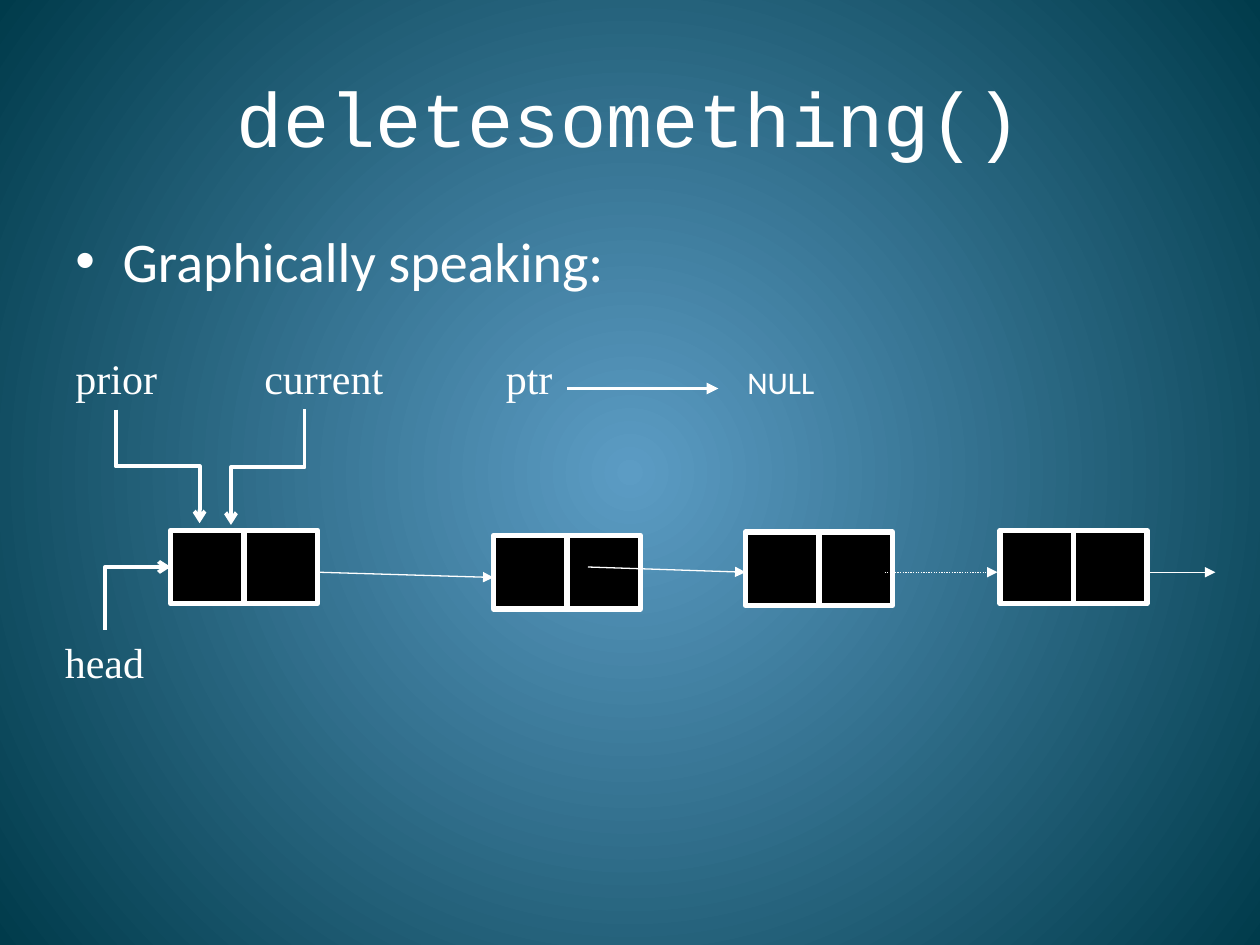
from lxml import etree
from pptx import Presentation
from pptx.dml.color import RGBColor
from pptx.enum.dml import MSO_LINE
from pptx.enum.shapes import MSO_CONNECTOR, MSO_SHAPE
from pptx.enum.text import MSO_ANCHOR, MSO_AUTO_SIZE, PP_ALIGN
from pptx.oxml.ns import qn
from pptx.util import Pt

RECTANGLE = MSO_SHAPE.RECTANGLE
STRAIGHT = MSO_CONNECTOR.STRAIGHT
DOTTED = MSO_LINE.ROUND_DOT
CENTER = PP_ALIGN.CENTER
TOP, MIDDLE = MSO_ANCHOR.TOP, MSO_ANCHOR.MIDDLE
FIT, FIXED = MSO_AUTO_SIZE.SHAPE_TO_FIT_TEXT, MSO_AUTO_SIZE.NONE
WHITE, BLACK = "FFFFFF", "000000"
SERIF = "Times New Roman"
CELL = 42
NODES = [(97.5, 303), (282, 306), (426, 304), (571.5, 303)]
LABELS = [
    ("ptr", (282, 198, 42, 36), True),
    ("head", (30, 360, 60.5, 36), False),
    ("prior", (36, 198, 90, 36), True),
    ("current", (144, 198, 83, 36), False),
]
LINKS = [
    ((181.5, 327), (282, 330), 0.75, None),
    ((336, 324), (426, 327), 0.75, None),
    ((505.5, 327), (570, 327), 0.75, DOTTED),
    ((655.5, 327), (694.5, 327), 0.75, None),
    ((324, 222), (410.5, 222), 2.25, None),
]
ELBOWS = [
    ((66, 234), (114, 299), 270, "h", "bentConnector3"),
    ((174, 234), (132, 300), 90, "", "bentConnector3"),
    ((60, 360), (97.5, 324), 90, "hv", "bentConnector2"),
]


def color(value):
    """Turn a hex string into a colour."""
    return RGBColor.from_string(value)


def set_attributes(target, values):
    """Set every attribute named in a dict."""
    for name, value in values.items():
        setattr(target, name, value)


def paint_background(slide, inner, outer):
    """Fill the slide with a gradient that spreads from its centre."""
    fill = slide.background.fill
    fill.gradient()
    for stop, value, position in zip(fill.gradient_stops, (inner, outer), (0, 1)):
        stop.color.rgb = color(value)
        stop.position = position
    gradient = slide.element.find(".//" + qn("a:gradFill"))
    for linear in gradient.findall(qn("a:lin")):
        gradient.remove(linear)
    radial = etree.SubElement(gradient, qn("a:path"), {"path": "circle"})
    center = dict.fromkeys("ltrb", "50000")
    etree.SubElement(radial, qn("a:fillToRect"), center)


def add_text(slide, text, box, font, size, wrap=True, anchor=TOP, fit=FIT):
    """Add a white text box and return its paragraph."""
    frame = slide.shapes.add_textbox(*map(Pt, box)).text_frame
    set_attributes(frame, {"word_wrap": wrap, "auto_size": fit,
                           "vertical_anchor": anchor})
    paragraph = frame.paragraphs[0]
    run = paragraph.add_run()
    run.text = text
    set_attributes(run.font, {"name": font, "size": Pt(size)})
    run.font.color.rgb = color(WHITE)
    return paragraph


def add_bullet(paragraph, indent):
    """Give a paragraph a hanging round bullet."""
    properties = paragraph._p.get_or_add_pPr()
    properties.set("marL", str(Pt(indent)))
    properties.set("indent", str(-Pt(indent)))
    etree.SubElement(properties, qn("a:buFont"), {"typeface": "Arial"})
    etree.SubElement(properties, qn("a:buChar"), {"char": "\u2022"})


def add_node(slide, left, top):
    """Draw a list node as two adjoining cells."""
    for column in range(2):
        box = (left + column * CELL, top, CELL, CELL)
        shape = slide.shapes.add_shape(RECTANGLE, *map(Pt, box))
        shape.shadow.inherit = False
        shape.fill.solid()
        shape.fill.fore_color.rgb = color(BLACK)
        shape.line.color.rgb = color(WHITE)
        shape.line.width = Pt(3)


def add_arrow(slide, start, end, width, dash=None, head="triangle"):
    """Draw a white straight arrow."""
    connector = slide.shapes.add_connector(STRAIGHT, *map(Pt, start + end))
    line = connector.line
    line.color.rgb = color(WHITE)
    set_attributes(line, {"width": Pt(width), "dash_style": dash})
    etree.SubElement(line._get_or_add_ln(), qn("a:tailEnd"), {"type": head})
    etree.SubElement(connector._element.spPr, qn("a:effectLst"))
    return connector


def add_elbow(slide, start, end, rotation, flips, preset):
    """Draw a bent arrow whose frame is turned by a quarter."""
    middle_x, middle_y = ((a + b) / 2 for a, b in zip(start, end))
    half_width = abs(end[1] - start[1]) / 2 * (-1 if "h" in flips else 1)
    half_height = abs(end[0] - start[0]) / 2 * (-1 if "v" in flips else 1)
    connector = add_arrow(
        slide,
        (middle_x - half_width, middle_y - half_height),
        (middle_x + half_width, middle_y + half_height),
        2.25, head="arrow")
    properties = connector._element.spPr
    properties.find(qn("a:xfrm")).set("rot", str(rotation * 60000))
    properties.find(qn("a:prstGeom")).set("prst", preset)


def main():
    """Build the linked list slide."""
    presentation = Presentation()
    set_attributes(presentation, {"slide_width": Pt(720), "slide_height": Pt(540)})
    slide = presentation.slides.add_slide(presentation.slide_layouts[6])
    paint_background(slide, "5C9CC4", "003B4B")
    title = add_text(slide, "deletesomething()", (36, 21.6, 648, 90),
                     "Courier New", 44, anchor=MIDDLE, fit=FIXED)
    title.alignment = CENTER
    body = add_text(slide, "Graphically speaking:", (36, 126, 648, 72),
                    "Calibri", 32, fit=FIXED)
    add_bullet(body, 27)
    for node in NODES:
        add_node(slide, *node)
    for link in LINKS:
        add_arrow(slide, *link)
    for text, box, wrap in LABELS:
        add_text(slide, text, box, SERIF, 24, wrap)
    for elbow in ELBOWS:
        add_elbow(slide, *elbow)
    add_text(slide, "NULL", (420, 204, 66, 29), "Calibri", 18)
    presentation.save("out.pptx")


main()
